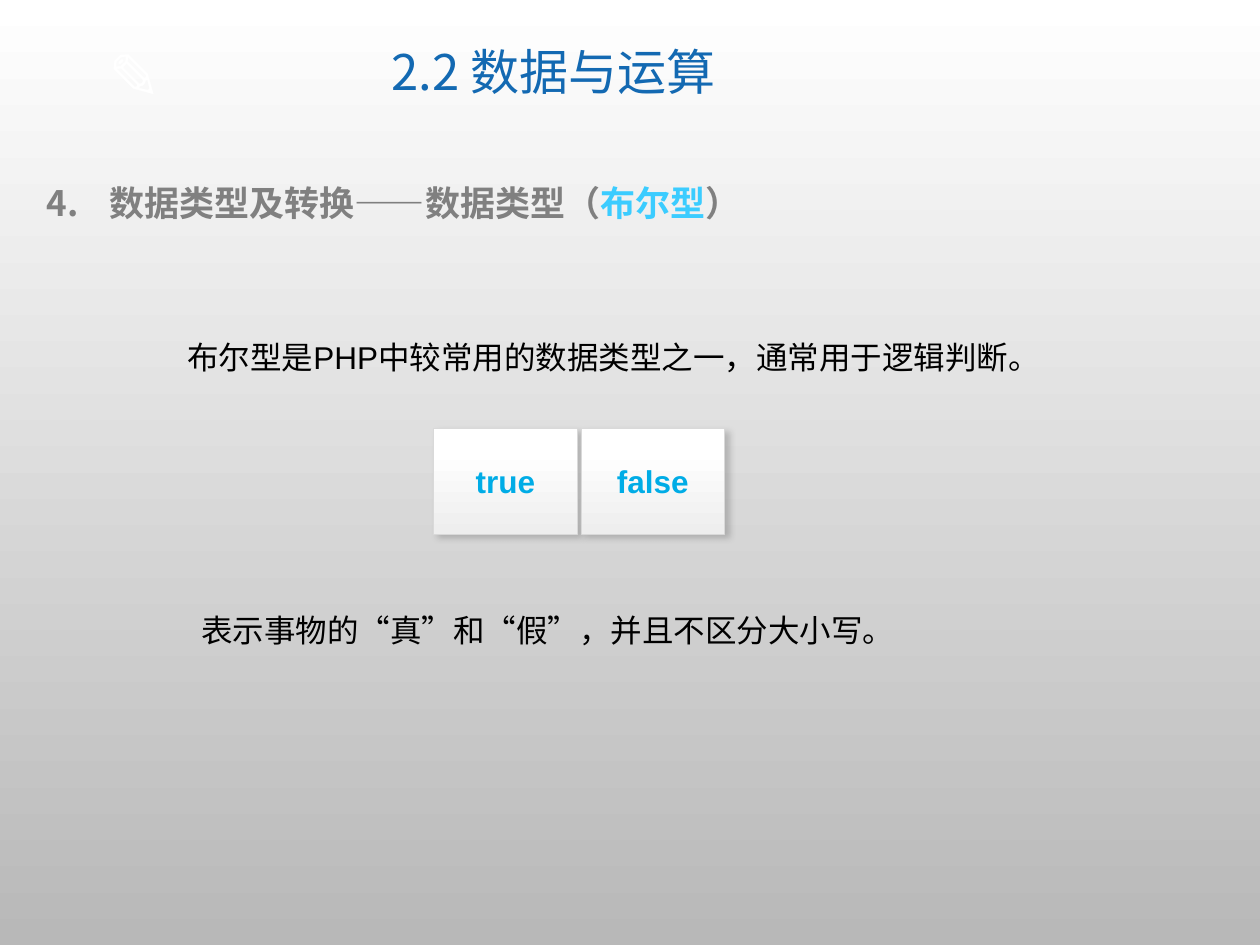
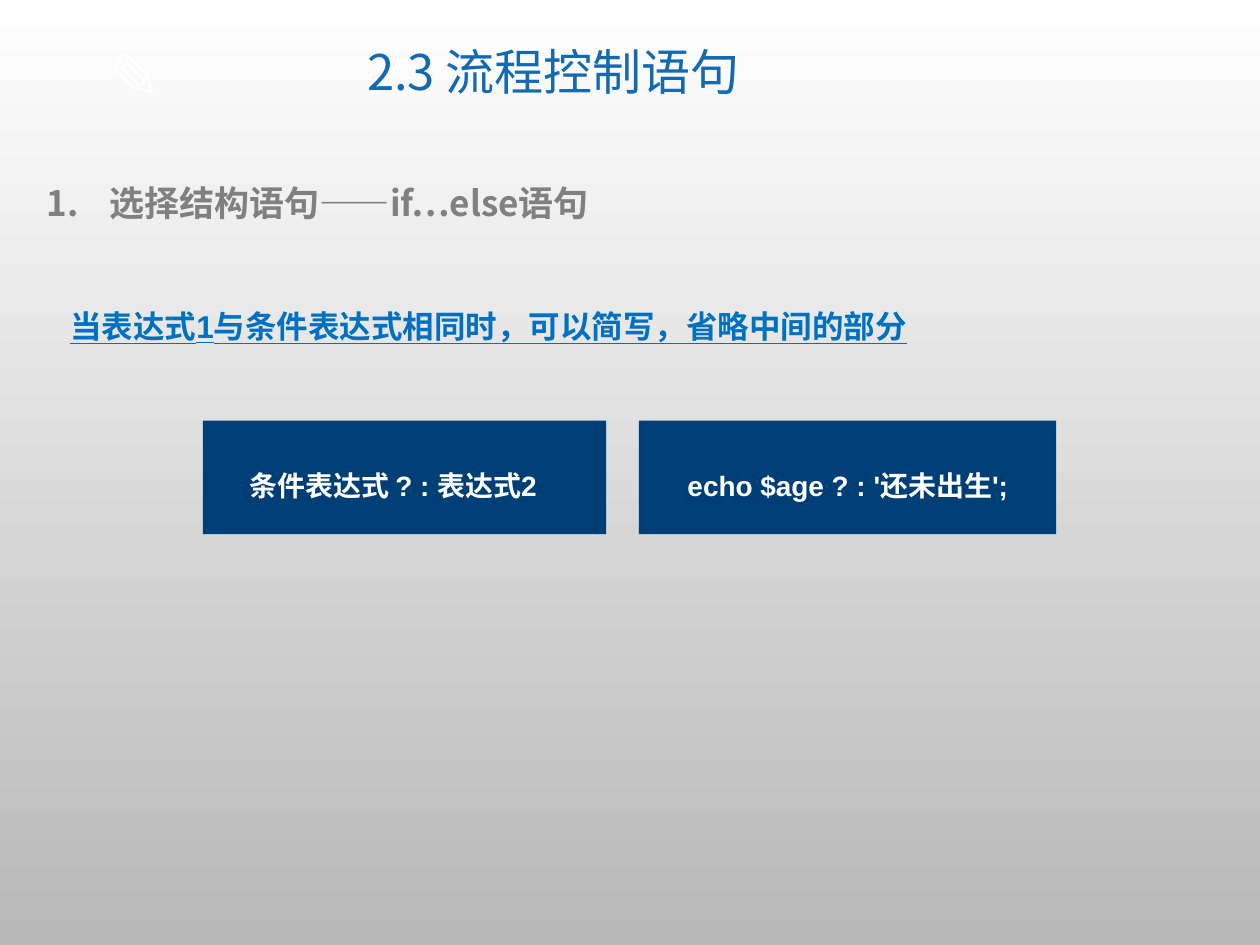
from dataclasses import dataclass, field
from typing import Any

from lxml.etree import SubElement
from pptx import Presentation
from pptx.dml.color import RGBColor
from pptx.enum.shapes import MSO_SHAPE as Preset
from pptx.enum.text import MSO_ANCHOR as Anchor, MSO_AUTO_SIZE as AutoSize, PP_ALIGN as Align
from pptx.oxml.ns import qn
from pptx.util import Cm, Pt

CJK = "Noto Sans CJK SC"
LATIN = "Arial"
WHITE, GREY, BLACK = "FFFFFF", "808080", "000000"
NAVY, CYAN, TITLE_BLUE = "003F75", "3BCCFF", "1369B2"

PENCIL = {"size": Pt(36), "bold": True, "name": CJK}
TITLE = {"size": Pt(28), "name": CJK}
HEADING = {"size": Pt(20), "bold": True, "name": CJK}
BODY = {"size": Pt(18), "name": LATIN}
VALUE = {"size": Pt(18), "bold": True, "name": LATIN}
NOTE = {"size": Pt(18), "bold": True, "underline": True, "name": LATIN}
CODE = {"size": Pt(16), "bold": True, "name": LATIN}


@dataclass
class Box:
    left: float
    top: float
    width: float
    height: float

    def lengths(self) -> list[int]:
        return [Cm(v) for v in (self.left, self.top, self.width, self.height)]


@dataclass
class Caption:
    box: Box
    pieces: list[tuple[str, str]]
    font: dict[str, Any]
    layout: dict[str, Any] = field(default_factory=dict)
    number: int = 0
    wrap: bool = True
    centred: bool = False


@dataclass
class CodePanel:
    left: float
    width: float
    inset: float
    code: str


def colour(value: str) -> RGBColor:
    return RGBColor.from_string(value)


def apply(target: Any, formats: dict[str, Any]) -> None:
    for attribute, value in formats.items():
        setattr(target, attribute, value)


def shade(fill: Any, start: str, end: str, start_at: float = 0) -> None:
    fill.gradient()
    fill.gradient_angle = 270
    for stop, value, position in zip(fill.gradient_stops, (start, end), (start_at, 1)):
        stop.color.rgb = colour(value)
        stop.position = position


def write(paragraph: Any, pieces: list[tuple[str, str]], font: dict[str, Any]) -> None:
    for words, tint in pieces:
        run = paragraph.add_run()
        run.text = words
        apply(run.font, font)
        run.font.color.rgb = colour(tint)
        SubElement(run._r.get_or_add_rPr(), qn("a:ea"), typeface=CJK)


def add_caption(shapes: Any, caption: Caption) -> None:
    frame = shapes.add_textbox(*caption.box.lengths()).text_frame
    frame.word_wrap = caption.wrap
    if caption.centred:
        frame.vertical_anchor = Anchor.MIDDLE
    else:
        frame.auto_size = AutoSize.SHAPE_TO_FIT_TEXT
    paragraph = frame.paragraphs[0]
    apply(paragraph, caption.layout)
    if caption.number:
        properties = paragraph._p.get_or_add_pPr()
        properties.set("marL", str(Cm(1.27)))
        properties.set("indent", str(-Cm(1.27)))
        SubElement(properties, qn("a:buFont"), typeface=CJK)
        SubElement(properties, qn("a:buAutoNum"), type="arabicPeriod", startAt=str(caption.number))
    write(paragraph, caption.pieces, caption.font)


def add_rectangle(shapes: Any, box: Box) -> Any:
    rectangle = shapes.add_shape(Preset.RECTANGLE, *box.lengths())
    rectangle.shadow.inherit = False
    return rectangle


def add_value_card(shapes: Any, box: Box, value: str) -> None:
    card = add_rectangle(shapes, box)
    shade(card.fill, WHITE, "EEEEEE", 0.2)
    card.line.color.rgb = colour("D9D9D9")
    card.line.width = Pt(0.25)
    effects = card._element.spPr.find(qn("a:effectLst"))
    shadow = SubElement(effects, qn("a:outerShdw"), blurRad=str(Pt(4)), dist=str(Pt(3)),
                        dir=str(36 * 60000), algn="tl", rotWithShape="0")
    tint = SubElement(shadow, qn("a:srgbClr"), val=BLACK)
    SubElement(tint, qn("a:alpha"), val="18000")
    card.text_frame.vertical_anchor = Anchor.MIDDLE
    paragraph = card.text_frame.paragraphs[0]
    paragraph.alignment = Align.CENTER
    write(paragraph, [(value, "00ACE6")], VALUE)


def add_code_panel(shapes: Any, panel: CodePanel) -> None:
    group = shapes.add_group_shape().shapes
    back = add_rectangle(group, Box(panel.left, 8.48, panel.width, 2.29))
    back.fill.solid()
    back.fill.fore_color.rgb = colour(NAVY)
    back.line.fill.background()
    area = Box(panel.left + panel.inset, 8.99, panel.width - panel.inset, 1.14)
    add_caption(group, Caption(area, [(panel.code, WHITE)], CODE, {"line_spacing": 1.5}))


def add_section(deck: Any, title: str, number: int, heading: list[tuple[str, str]]) -> Any:
    slide = deck.slides.add_slide(deck.slide_layouts[6])
    shade(slide.background.fill, WHITE, "B8B8B8")
    for caption in (
        Caption(Box(1.93, 0.61, 2.18, 1.8), [("✎", WHITE)], PENCIL, wrap=False),
        Caption(Box(4.6, 0.43, 13.11, 2.16), [(title, TITLE_BLUE)], TITLE,
                {"alignment": Align.CENTER, "line_spacing": 0.9}, centred=True),
        Caption(Box(0.69, 3.53, 23.42, 1.12), heading, HEADING, number=number),
    ):
        add_caption(slide.shapes, caption)
    return slide.shapes


def build_boolean_slide(deck: Any) -> None:
    shapes = add_section(deck, "2.2 数据与运算", 4, [
        ("数据类型及转换——数据类型（", GREY), ("布尔型", CYAN), ("）", GREY)])
    for box, sentence in (
        (Box(3.53, 5.92, 19.08, 1.8), "布尔型是PHP中较常用的数据类型之一，通常用于逻辑判断。"),
        (Box(3.81, 11.43, 17.3, 1.8), "表示事物的“真”和“假”，并且不区分大小写。"),
    ):
        add_caption(shapes, Caption(box, [(sentence, BLACK)], BODY, {"line_spacing": 2.0}))
    for index, value in enumerate(("true", "false")):
        add_value_card(shapes, Box(8.74 + index * 2.97, 8.64, 2.9, 2.13), value)


def build_condition_slide(deck: Any) -> None:
    shapes = add_section(deck, "2.3 流程控制语句", 1, [("选择结构语句——if…else语句", GREY)])
    for panel in (
        CodePanel(4.09, 8.13, 0.69, "条件表达式 ? : 表达式2"),
        CodePanel(12.88, 8.41, 0.73, "echo $age ? : '还未出生';"),
    ):
        add_code_panel(shapes, panel)
    rule = "当表达式1与条件表达式相同时，可以简写，省略中间的部分"
    add_caption(shapes, Caption(Box(1.17, 5.31, 19.43, 1.8), [(rule, "0070C0")], NOTE,
                                {"line_spacing": 2.0}))


def main() -> None:
    deck = Presentation()
    deck.slide_width, deck.slide_height = Cm(25.4), Cm(19.05)
    build_boolean_slide(deck)
    build_condition_slide(deck)
    deck.save("out.pptx")


if __name__ == "__main__":
    main()
